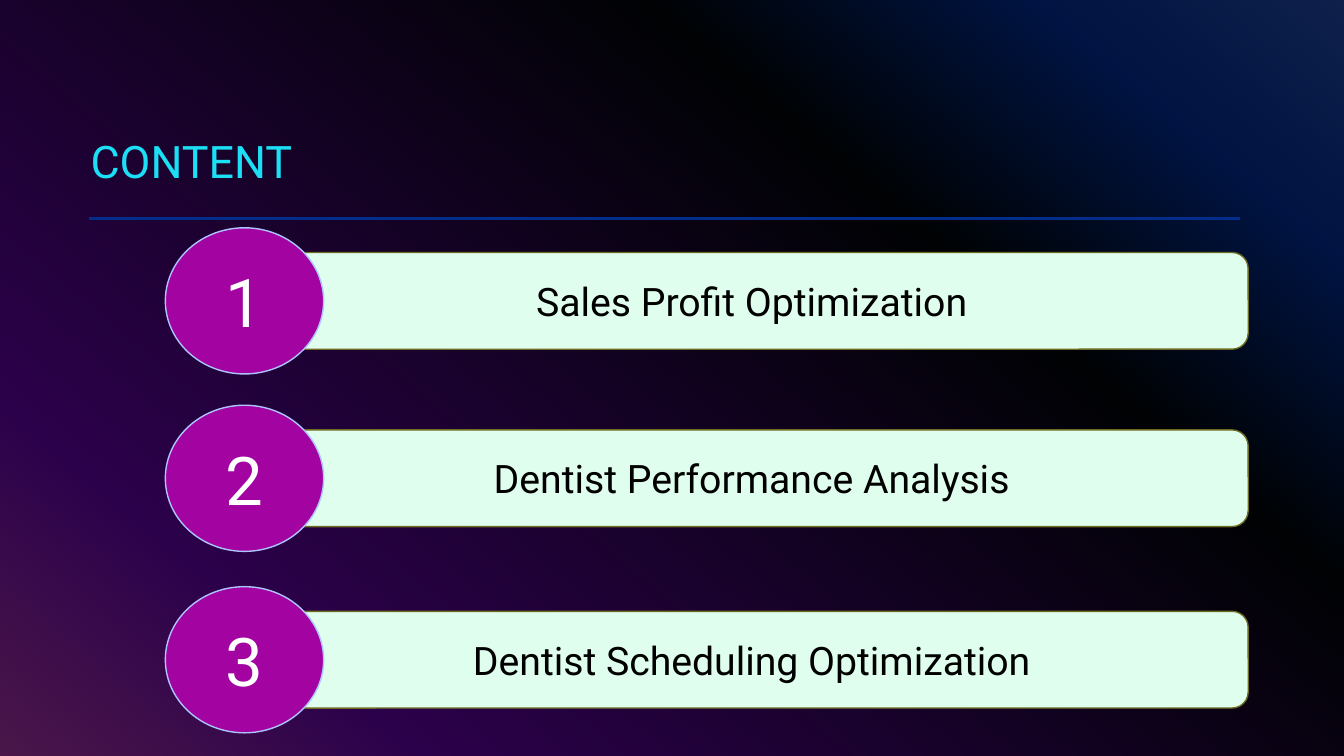
from dataclasses import dataclass

from lxml import etree
from pptx import Presentation
from pptx.dml.color import RGBColor
from pptx.enum.shapes import MSO_CONNECTOR, MSO_SHAPE
from pptx.enum.text import MSO_ANCHOR, PP_ALIGN
from pptx.oxml.ns import qn
from pptx.util import Inches, Pt

STRAIGHT = MSO_CONNECTOR.STRAIGHT
RECTANGLE, ROUNDED, OVAL = MSO_SHAPE.RECTANGLE, MSO_SHAPE.ROUNDED_RECTANGLE, MSO_SHAPE.OVAL
MIDDLE, BOTTOM = MSO_ANCHOR.MIDDLE, MSO_ANCHOR.BOTTOM
LEFT, CENTER = PP_ALIGN.LEFT, PP_ALIGN.CENTER

SLIDE_WIDTH, SLIDE_HEIGHT = 13.33, 7.5
BADGE_WIDTH, BADGE_HEIGHT = 1.57, 1.45
BAR_WIDTH, BAR_HEIGHT = 9.85, 0.96
BADGE_LEFT, BAR_LEFT = 1.64, 2.53
TOPICS = [
    ("Sales Profit Optimization", 2.26),
    ("Dentist Performance Analysis", 4.02),
    ("Dentist Scheduling Optimization", 5.82),
]


@dataclass(frozen=True)
class Theme:
    font: str = "Roboto"
    title_size: int = 32
    topic_size: int = 28
    number_size: int = 48
    title: str = "1CDFF5"
    rule: str = "032D8A"
    topic: str = "000000"
    bar: str = "DFFEEE"
    bar_edge: str = "6E6A21"
    number: str = "FFFFFF"
    badge: str = "A203A1"
    badge_edge: str = "ADC4FE"
    veil: str = "000000"
    veil_opacity: int = 70
    glow: tuple = ((0, "316CFC"), (14, "0343DF"), (31, "02090E"),
                   (81, "9405FC"), (100, "FC4EFB"))
    glow_angle: int = 130


def rgb(color):
    return RGBColor.from_string(color)


def write_text(frame, text, *, font, size, color, align=CENTER, anchor=MIDDLE, spacing=1.0):
    frame.word_wrap = True
    frame.vertical_anchor = anchor
    paragraph = frame.paragraphs[0]
    paragraph.alignment = align
    paragraph.line_spacing = spacing
    run = paragraph.add_run()
    run.text = text
    run.font.name = font
    run.font.size = Pt(size)
    run.font.color.rgb = rgb(color)


class SlideBuilder:
    def __init__(self, slide, theme):
        self.slide = slide
        self.theme = theme

    def background(self):
        """Fill the slide with the theme's gradient stops at its clockwise angle."""
        fill = self.slide.background.fill
        fill.gradient()
        gradient = self.slide.background._cSld.find(".//" + qn("a:gradFill"))
        stops = gradient.find(qn("a:gsLst"))
        for stop in list(stops):
            stops.remove(stop)
        for position, color in self.theme.glow:
            stop = etree.SubElement(stops, qn("a:gs"), pos=str(position * 1000))
            etree.SubElement(stop, qn("a:srgbClr"), val=color)
        direction = gradient.find(qn("a:lin"))
        direction.set("ang", str(self.theme.glow_angle * 60000))
        direction.set("scaled", "0")

    def shape(self, kind, left, top, width, height, fill, edge=None):
        shape = self.slide.shapes.add_shape(
            kind, Inches(left), Inches(top), Inches(width), Inches(height))
        shape.shadow.inherit = False
        shape.fill.solid()
        shape.fill.fore_color.rgb = rgb(fill)
        if edge:
            shape.line.color.rgb = rgb(edge)
            shape.line.width = Pt(1)
        else:
            shape.line.fill.background()
        return shape

    def veil(self):
        """Dim the background with a translucent sheet over the whole slide."""
        sheet = self.shape(RECTANGLE, 0, 0, SLIDE_WIDTH, SLIDE_HEIGHT, self.theme.veil)
        color = sheet.fill._xPr.find(".//" + qn("a:srgbClr"))
        etree.SubElement(color, qn("a:alpha"), val=str(self.theme.veil_opacity * 1000))

    def rule(self, left, right, y):
        rule = self.slide.shapes.add_connector(
            STRAIGHT, Inches(left), Inches(y), Inches(right), Inches(y))
        rule.line.color.rgb = rgb(self.theme.rule)
        rule.line.width = Pt(2)
        etree.SubElement(rule._element.spPr, qn("a:effectLst"))

    def title(self, text, left, top, width, height):
        heading = self.slide.shapes.add_textbox(
            Inches(left), Inches(top), Inches(width), Inches(height))
        write_text(heading.text_frame, text, font=self.theme.font,
                   size=self.theme.title_size, color=self.theme.title,
                   align=LEFT, anchor=BOTTOM, spacing=0.9)

    def topic(self, number, text, top):
        """Draw a bar with a numbered badge over its left end, centred on each other."""
        theme = self.theme
        bar_top = top + (BADGE_HEIGHT - BAR_HEIGHT) / 2
        bar = self.shape(ROUNDED, BAR_LEFT, bar_top, BAR_WIDTH, BAR_HEIGHT,
                         theme.bar, theme.bar_edge)
        write_text(bar.text_frame, text, font=theme.font,
                   size=theme.topic_size, color=theme.topic)
        badge = self.shape(OVAL, BADGE_LEFT, top, BADGE_WIDTH, BADGE_HEIGHT,
                           theme.badge, theme.badge_edge)
        write_text(badge.text_frame, str(number), font=theme.font,
                   size=theme.number_size, color=theme.number)


def main():
    deck = Presentation()
    deck.slide_width, deck.slide_height = Inches(SLIDE_WIDTH), Inches(SLIDE_HEIGHT)
    builder = SlideBuilder(deck.slides.add_slide(deck.slide_layouts[6]), Theme())
    builder.background()
    builder.veil()
    builder.rule(0.88, 12.3, 2.17)
    builder.title("CONTENT", 0.8, 0.47, 11.5, 1.45)
    for number, (text, top) in enumerate(TOPICS, start=1):
        builder.topic(number, text, top)
    deck.save("out.pptx")


if __name__ == "__main__":
    main()
